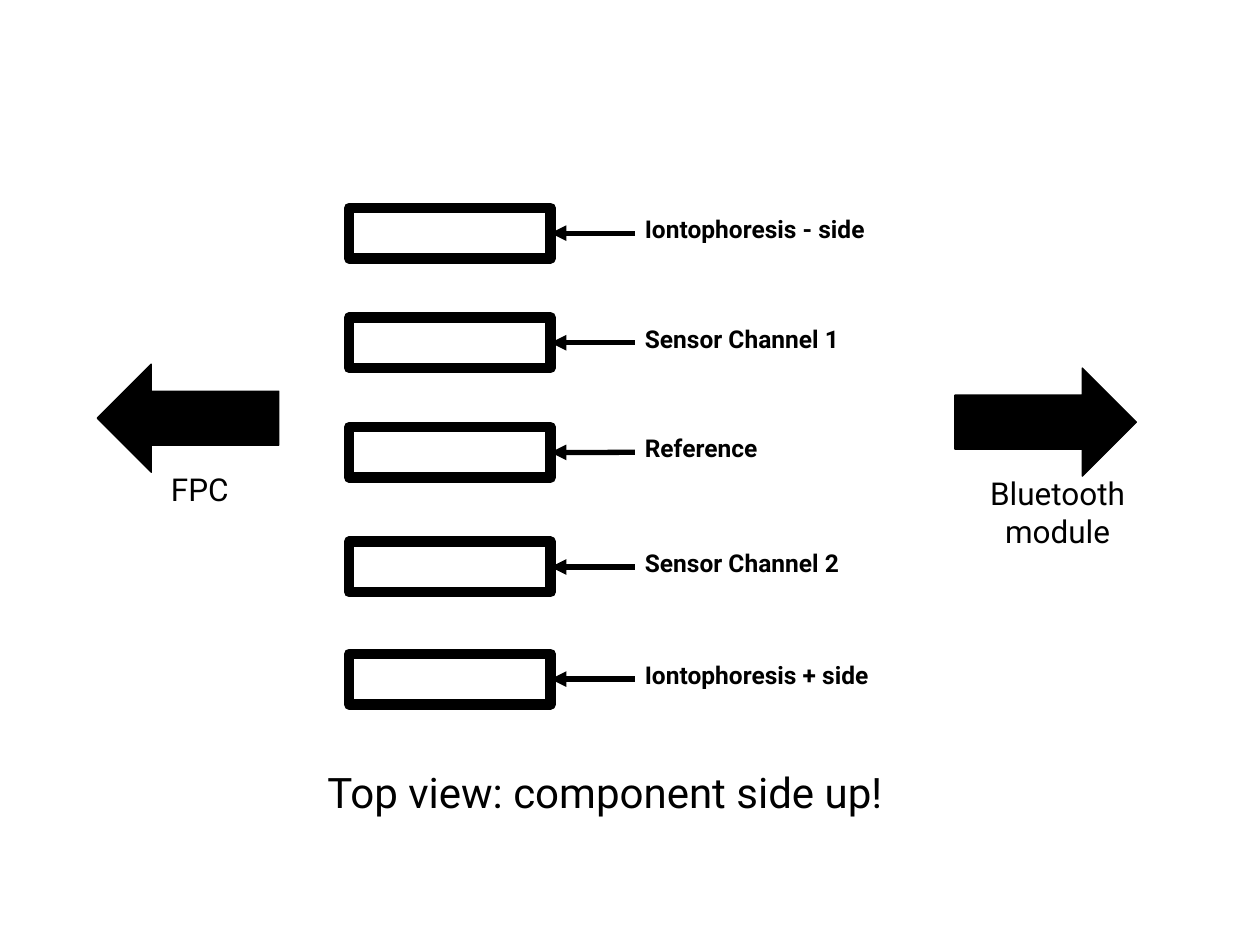
import pptx
import pptx.dml.color
import pptx.enum.shapes
import pptx.enum.text
import pptx.oxml
import pptx.oxml.ns
import pptx.util
from pptx.util import Cm

BLACK = "000000"
SHAPES = pptx.enum.shapes.MSO_SHAPE


def color(hex_value):
    return pptx.dml.color.RGBColor.from_string(hex_value)


def add_text(lines, left, top, width, height, size, bold=False, centred=False):
    box = slide.shapes.add_textbox(Cm(left), Cm(top), Cm(width), Cm(height))
    frame = box.text_frame
    frame.word_wrap = True
    frame.auto_size = pptx.enum.text.MSO_AUTO_SIZE.SHAPE_TO_FIT_TEXT
    for index, line in enumerate(lines):
        paragraph = frame.add_paragraph() if index else frame.paragraphs[0]
        if centred:
            paragraph.alignment = pptx.enum.text.PP_ALIGN.CENTER
        run = paragraph.add_run()
        run.text = line
        run.font.name = "Roboto"
        run.font.size = pptx.util.Pt(size)
        run.font.bold = bold
        run.font.color.rgb = color(BLACK)


presentation = pptx.Presentation()
presentation.slide_width = Cm(25.4)
presentation.slide_height = Cm(19.05)
slide = presentation.slides.add_slide(presentation.slide_layouts[6])

# Electrode pads, each with its pointer and label
pads = [
    ("Iontophoresis - side", 4.19),
    ("Sensor Channel 1", 6.4),
    ("Reference", 8.61),
    ("Sensor Channel 2", 10.92),
    ("Iontophoresis + side", 13.18),
]
pad_left, pad_width, pad_height = 7.04, 4.06, 1.02
for label, top in pads:
    pad = slide.shapes.add_shape(
        SHAPES.RECTANGLE, Cm(pad_left), Cm(top), Cm(pad_width), Cm(pad_height))
    pad.shadow.inherit = False
    pad.fill.background()
    pad.line.color.rgb = color(BLACK)
    pad.line.width = pptx.util.Pt(6)

    middle = Cm(top + pad_height / 2)
    pointer = slide.shapes.add_connector(
        pptx.enum.shapes.MSO_CONNECTOR.STRAIGHT,
        Cm(12.8), middle, Cm(pad_left + pad_width), middle)
    pointer.end_connect(pad, 3)
    pointer.line.color.rgb = color(BLACK)
    pointer.line.width = pptx.util.Pt(3)
    tail = pptx.oxml.parse_xml(
        f'<a:tailEnd {pptx.oxml.ns.nsdecls("a")} type="triangle"/>')
    pointer.line._get_or_add_ln().append(tail)
    pointer._element.spPr.append(
        pptx.oxml.parse_xml(f'<a:effectLst {pptx.oxml.ns.nsdecls("a")}/>'))

    add_text([label], 12.75, top, 5.36, 0.86, 14, bold=True)

# Direction arrows with their captions
directions = [
    (["Bluetooth", "module"], 19.25, 7.42, 0, 1.8),
    (["FPC"], 1.96, 7.34, 180, 1.02),
]
for caption, left, top, rotation, caption_height in directions:
    direction = slide.shapes.add_shape(
        SHAPES.RIGHT_ARROW, Cm(left), Cm(top), Cm(3.66), Cm(2.18))
    direction.rotation = rotation
    direction.shadow.inherit = False
    direction.fill.solid()
    direction.fill.fore_color.rgb = color(BLACK)
    direction.line.color.rgb = color(BLACK)
    direction.line.width = pptx.util.Pt(0.75)
    add_text(caption, left - 0.1, top + 2.02, 4.34, caption_height, 18,
             centred=True)

# View note
add_text(["Top view: component side up!"], 6.35, 15.32, 11.96, 1.27, 24)

presentation.save("out.pptx")
